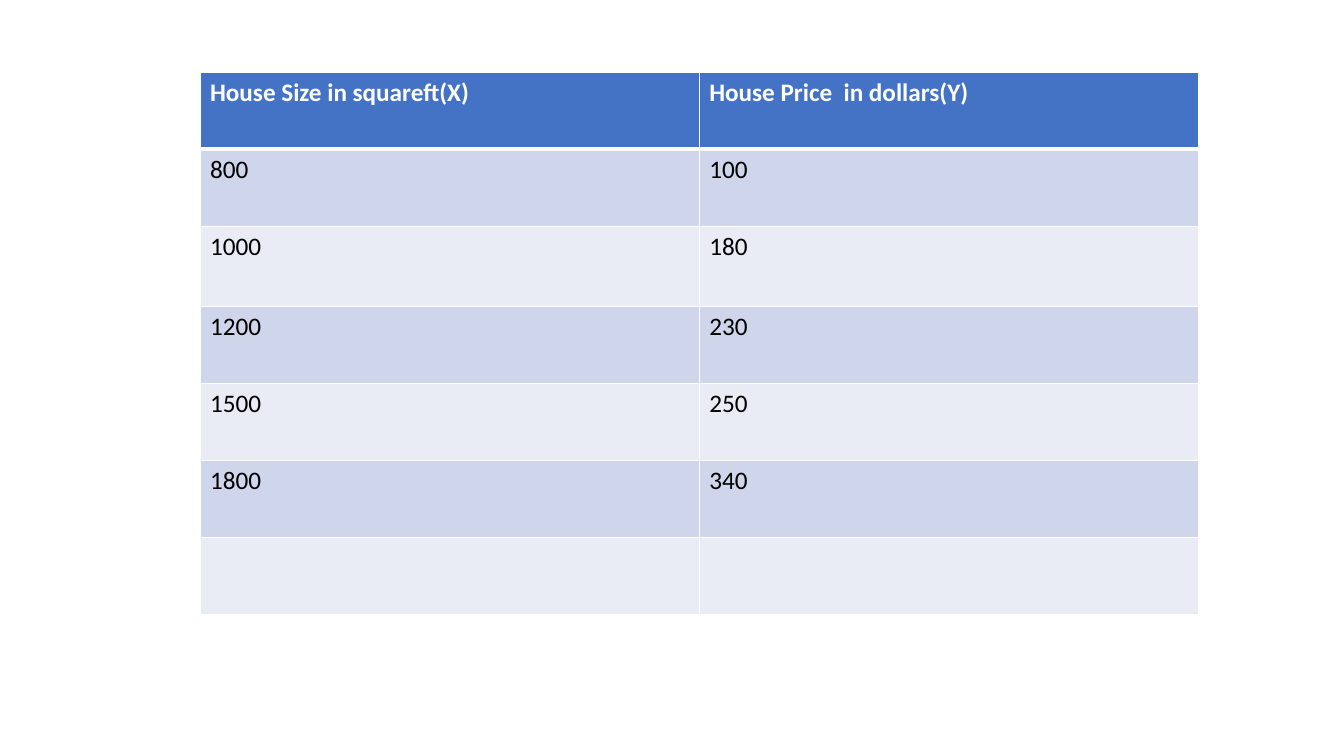
"""Build a slide with a table of house sizes and prices."""
from dataclasses import dataclass

import lxml.etree
import pptx
import pptx.dml.color
import pptx.oxml.ns
import pptx.table
import pptx.util
from pptx.dml.color import RGBColor
from pptx.util import Cm

WHITE = RGBColor(0xFF, 0xFF, 0xFF)
BLACK = RGBColor(0x00, 0x00, 0x00)
HEADER_BLUE = RGBColor(0x44, 0x72, 0xC4)
DARK_BAND = RGBColor(0xCF, 0xD5, 0xEA)
LIGHT_BAND = RGBColor(0xE9, 0xEB, 0xF5)

COLUMN_WIDTH = Cm(12.58)
THIN, THICK = 1, 3


@dataclass(frozen=True)
class HouseRow:
    size: str
    price: str
    height: float = 1.94


ROWS = [
    HouseRow("House Size in squareft(X)", "House Price  in dollars(Y)"),
    HouseRow("800", "100"),
    HouseRow("1000", "180", height=2.03),
    HouseRow("1200", "230"),
    HouseRow("1500", "250"),
    HouseRow("1800", "340"),
    HouseRow("", ""),
]


def set_borders(cell: pptx.table._Cell, *, top: int, bottom: int) -> None:
    properties = cell._tc.get_or_add_tcPr()
    qualify = pptx.oxml.ns.qn
    for side, points in (("L", THIN), ("R", THIN), ("T", top), ("B", bottom)):
        line = lxml.etree.SubElement(
            properties, qualify(f"a:ln{side}"), w=str(pptx.util.Pt(points)))
        fill = lxml.etree.SubElement(line, qualify("a:solidFill"))
        lxml.etree.SubElement(fill, qualify("a:srgbClr"), val=str(WHITE))


def write_text(cell: pptx.table._Cell, text: str, *, color: RGBColor,
               bold: bool, size: int = 18, font: str = "Calibri") -> None:
    para = cell.text_frame.paragraphs[0]
    para.font.size = pptx.util.Pt(size)
    if text:
        span = para.add_run()
        span.text = text
        span.font.name = font
        span.font.size = pptx.util.Pt(size)
        span.font.bold = bold
        span.font.color.rgb = color


def fill_row(table: pptx.table.Table, index: int, row: HouseRow) -> None:
    is_header = index == 0
    band = DARK_BAND if index % 2 else LIGHT_BAND
    table.rows[index].height = Cm(row.height)
    for column, text in enumerate((row.size, row.price)):
        cell = table.cell(index, column)
        set_borders(cell, top=THICK if index == 1 else THIN,
                    bottom=THICK if is_header else THIN)
        cell.fill.solid()
        cell.fill.fore_color.rgb = HEADER_BLUE if is_header else band
        write_text(cell, text, color=WHITE if is_header else BLACK,
                   bold=is_header)


def main() -> None:
    deck = pptx.Presentation()
    deck.slide_width, deck.slide_height = Cm(33.87), Cm(19.05)
    page = deck.slides.add_slide(deck.slide_layouts[6])
    height = Cm(sum(row.height for row in ROWS))
    table = page.shapes.add_table(
        len(ROWS), 2, Cm(5.04), Cm(1.82), 2 * COLUMN_WIDTH, height).table
    for index, row in enumerate(ROWS):
        fill_row(table, index, row)
    deck.save("out.pptx")


if __name__ == "__main__":
    main()
